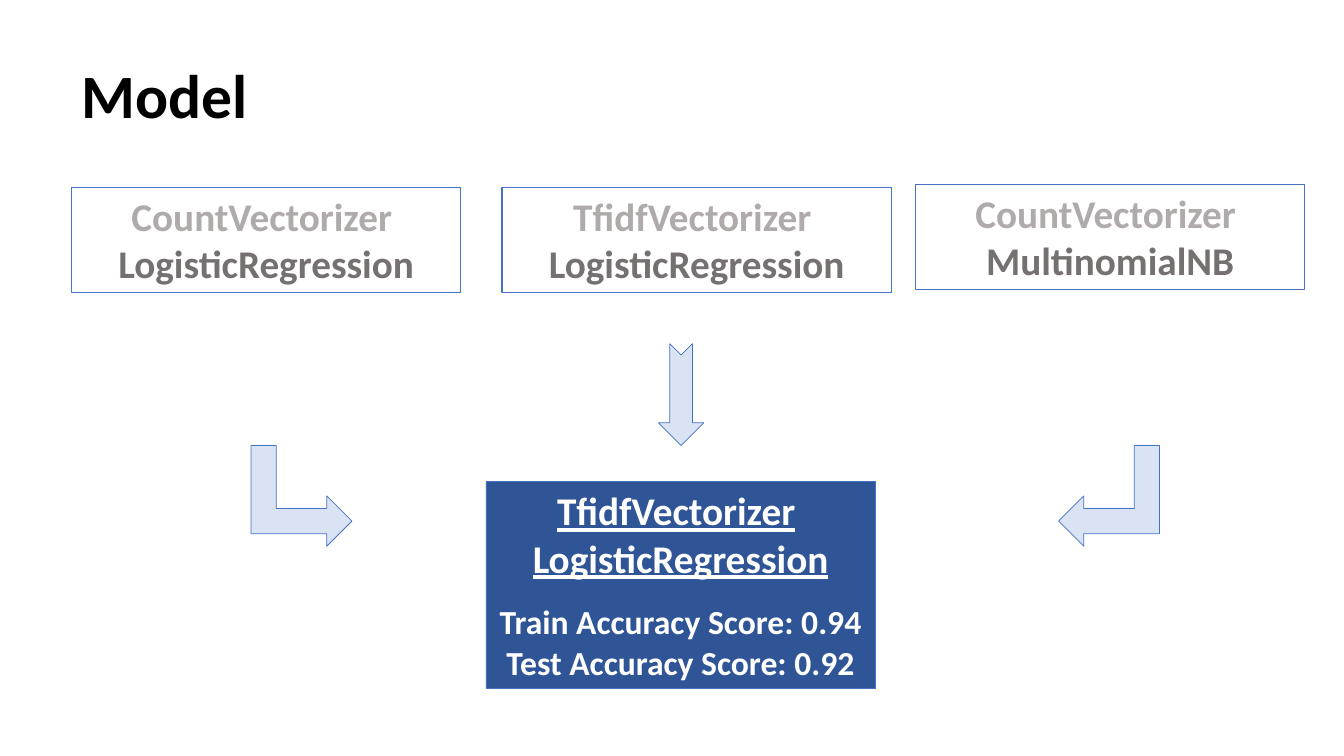
from dataclasses import dataclass

from pptx import Presentation
from pptx.dml.color import RGBColor
from pptx.enum.shapes import MSO_SHAPE
from pptx.enum.text import MSO_ANCHOR, MSO_AUTO_SIZE, PP_ALIGN
from pptx.util import Inches, Pt


@dataclass(frozen=True)
class Theme:
    font: str = "Calibri"
    black: str = "000000"
    white: str = "FFFFFF"
    outline: str = "4472C4"
    arrow: str = "DAE3F3"
    winner: str = "2F5597"
    vectorizer: str = "AFABAB"
    classifier: str = "767171"
    title_size: int = 44
    model_size: int = 28
    score_size: int = 24


THEME = Theme()
BOX_WIDTH = 3.86
CANDIDATES = [
    (0.71, 1.86, "CountVectorizer ", "LogisticRegression"),
    (4.98, 1.86, "TfidfVectorizer ", "LogisticRegression"),
    (9.08, 1.83, "CountVectorizer ", "MultinomialNB"),
]


def add_span(para, text, size=THEME.model_size, color=THEME.white, underline=False):
    span = para.add_run()
    span.text = text
    span.font.name = THEME.font
    span.font.size = Pt(size)
    span.font.bold = True
    span.font.underline = underline
    span.font.color.rgb = RGBColor.from_string(color)


def add_line(frame, text, first=False, space_before=0, **span_format):
    para = frame.paragraphs[0] if first else frame.add_paragraph()
    para.alignment = PP_ALIGN.CENTER
    if space_before:
        para.space_before = Pt(space_before)
    add_span(para, text, **span_format)
    return para


def add_shape(page, kind, left, top, width, height, fill, line_width=0.5):
    shape = page.shapes.add_shape(
        kind, Inches(left), Inches(top), Inches(width), Inches(height))
    shape.shadow.inherit = False
    shape.fill.solid()
    shape.fill.fore_color.rgb = RGBColor.from_string(fill)
    shape.line.color.rgb = RGBColor.from_string(THEME.outline)
    shape.line.width = Pt(line_width)
    return shape


def add_box(page, left, top, height, fill, line_width):
    """Add a text rectangle and return its text frame."""
    box = add_shape(page, MSO_SHAPE.RECTANGLE, left, top, BOX_WIDTH, height,
                    fill, line_width)
    frame = box.text_frame
    frame.word_wrap = True
    frame.auto_size = MSO_AUTO_SIZE.SHAPE_TO_FIT_TEXT
    frame.vertical_anchor = MSO_ANCHOR.TOP
    return frame


def add_arrow(page, kind, left, top, width, height, rotation, flipped=False):
    arrow = add_shape(page, kind, left, top, width, height, THEME.arrow)
    arrow.rotation = rotation
    if flipped:
        arrow.element.spPr.xfrm.set("flipH", "1")


def add_title(page, text):
    title = page.shapes.title
    title.left, title.top = Inches(0.71), Inches(0.43)
    title.width, title.height = Inches(11.5), Inches(1.1)
    frame = title.text_frame
    frame.auto_size = MSO_AUTO_SIZE.NONE
    frame.vertical_anchor = MSO_ANCHOR.MIDDLE
    para = frame.paragraphs[0]
    para.alignment = PP_ALIGN.LEFT
    para.line_spacing = 0.9
    add_span(para, text, size=THEME.title_size, color=THEME.black)


def add_candidate(page, left, top, vectorizer, classifier):
    frame = add_box(page, left, top, 1.04, THEME.white, line_width=1)
    add_line(frame, vectorizer, first=True, color=THEME.vectorizer)
    add_line(frame, classifier, color=THEME.classifier)


def add_winner(page):
    frame = add_box(page, 4.82, 4.78, 2.05, THEME.winner, line_width=0.5)
    heading = add_line(frame, "TfidfVectorizer", first=True, underline=True)
    add_span(heading, " ")
    add_line(frame, "LogisticRegression", underline=True)
    add_line(frame, "Train Accuracy Score: 0.94", space_before=14.6,
             size=THEME.score_size)
    add_line(frame, "Test Accuracy Score: 0.92", size=THEME.score_size)


def main():
    deck = Presentation()
    deck.slide_width, deck.slide_height = Inches(13.33), Inches(7.5)
    page = deck.slides.add_slide(deck.slide_layouts[5])
    add_title(page, "Model")
    for candidate in CANDIDATES:
        add_candidate(page, *candidate)
    add_arrow(page, MSO_SHAPE.BENT_UP_ARROW, 2.49, 4.42, 1, 1, rotation=90)
    add_arrow(page, MSO_SHAPE.BENT_UP_ARROW, 10.5, 4.42, 1, 1, rotation=270,
              flipped=True)
    add_arrow(page, MSO_SHAPE.NOTCHED_RIGHT_ARROW, 6.25, 3.69, 1.01, 0.45,
              rotation=90)
    add_winner(page)
    deck.save("out.pptx")


if __name__ == "__main__":
    main()
